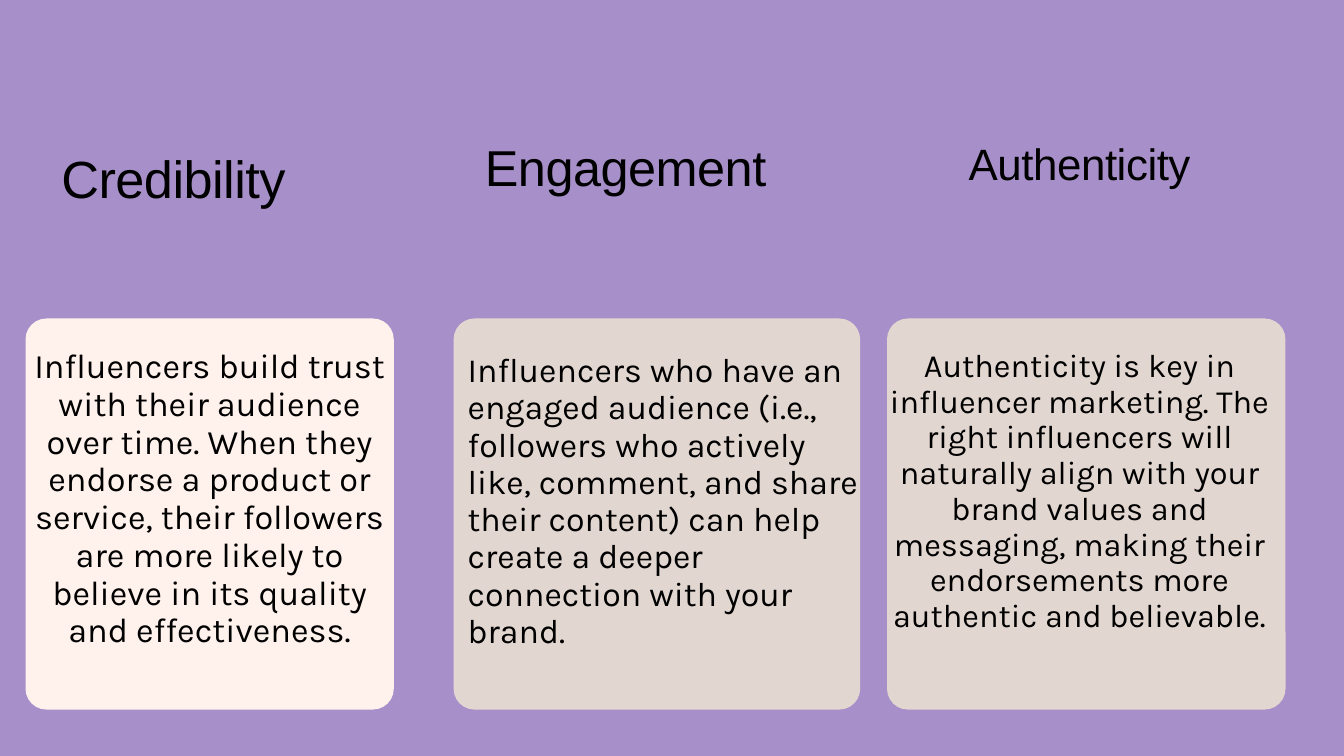
"""Build a slide of three headed cards on what makes influencer marketing work."""
import pptx
import pptx.dml.color
import pptx.enum.shapes
import pptx.enum.text
import pptx.util

COLOURS = {"background": "A78FC9", "blush": "FFF2EC", "sand": "E2D6D0", "ink": "000000"}
SLIDE_INCHES = (20, 11.25)
CARD_TOP, CARD_HEIGHT = 42.13, 51.73
CORNER_INCHES = 0.31
ALIGN = pptx.enum.text.PP_ALIGN
HEADING_STYLE = {"name": "Arial", "leading": 1.3}
BODY_STYLE = {"name": "Karla", "leading": 1.1}

# Boxes are left, top, width, height in per cent of the slide.
CARDS = [
    {
        "span": (1.9, 27.4),
        "fill": "blush",
        "heading": {"text": "Credibility", "box": (3.5, 18.67, 18.8, 9.87),
                    "size": 56, "align": ALIGN.CENTER, "tracking": -60},
        "body": {"text": "Influencers build trust with their audience over time. When they endorse "
                         "a product or service, their followers are more likely to believe in its "
                         "quality and effectiveness.",
                 "box": (1.9, 46.04, 27.4, 44.27), "size": 36.7, "align": ALIGN.CENTER},
    },
    {
        "span": (33.75, 30.25),
        "fill": "sand",
        "heading": {"text": "Engagement", "box": (34.8, 17.33, 23.5, 9.51),
                    "size": 54, "align": ALIGN.CENTER, "tracking": -50},
        "body": {"text": "Influencers who have an engaged audience (i.e., followers who actively "
                         "like, comment, and share their content) can help create a deeper "
                         "connection with your brand.",
                 "box": (34.8, 46.58, 29.2, 43.73), "size": 36.3, "align": ALIGN.LEFT},
    },
    {
        "span": (66, 29.65),
        "fill": "sand",
        "heading": {"text": "Authenticity", "box": (71.1, 17.51, 18.45, 8.27),
                    "size": 47, "align": ALIGN.CENTER, "tracking": -50},
        "body": {"text": "Authenticity is key in influencer marketing. The right influencers will "
                         "naturally align with your brand values and messaging, making their "
                         "endorsements more authentic and believable.",
                 "box": (66, 46.04, 28.65, 42.58), "size": 34.8, "align": ALIGN.CENTER},
    },
]


def colour(name):
    return pptx.dml.color.RGBColor.from_string(COLOURS[name])


def place(box):
    return [pptx.util.Inches(share / 100 * SLIDE_INCHES[index % 2])
            for index, share in enumerate(box)]


def set_attributes(target, values):
    for name, value in values.items():
        setattr(target, name, value)


def add_card(slide, span, fill):
    left, width = span
    box = place((left, CARD_TOP, width, CARD_HEIGHT))
    shape = slide.shapes.add_shape(pptx.enum.shapes.MSO_SHAPE.ROUNDED_RECTANGLE, *box)
    shape.adjustments[0] = pptx.util.Inches(CORNER_INCHES) / min(shape.width, shape.height)
    shape.shadow.inherit = False
    shape.fill.solid()
    shape.fill.fore_color.rgb = colour(fill)
    shape.line.fill.background()


def add_text(slide, content, style):
    frame = slide.shapes.add_textbox(*place(content["box"])).text_frame
    set_attributes(frame, {
        "margin_left": 0, "margin_top": 0, "margin_right": 0, "margin_bottom": 0,
        "word_wrap": True, "auto_size": pptx.enum.text.MSO_AUTO_SIZE.SHAPE_TO_FIT_TEXT,
    })
    paragraph = frame.paragraphs[0]
    set_attributes(paragraph, {
        "alignment": content["align"],
        "line_spacing": pptx.util.Pt(round(content["size"] * style["leading"], 1)),
    })
    run = paragraph.add_run()
    run.text = content["text"]
    set_attributes(run.font, {"name": style["name"], "size": pptx.util.Pt(content["size"])})
    run.font.color.rgb = colour("ink")
    if "tracking" in content:
        run._r.get_or_add_rPr().set("spc", str(content["tracking"]))


def main():
    presentation = pptx.Presentation()
    presentation.slide_width, presentation.slide_height = map(pptx.util.Inches, SLIDE_INCHES)
    slide = presentation.slides.add_slide(presentation.slide_layouts[6])
    slide.background.fill.solid()
    slide.background.fill.fore_color.rgb = colour("background")
    for card in CARDS:
        add_card(slide, card["span"], card["fill"])
    for part, style in (("body", BODY_STYLE), ("heading", HEADING_STYLE)):
        for card in CARDS:
            add_text(slide, card[part], style)
    presentation.save("out.pptx")


if __name__ == "__main__":
    main()
